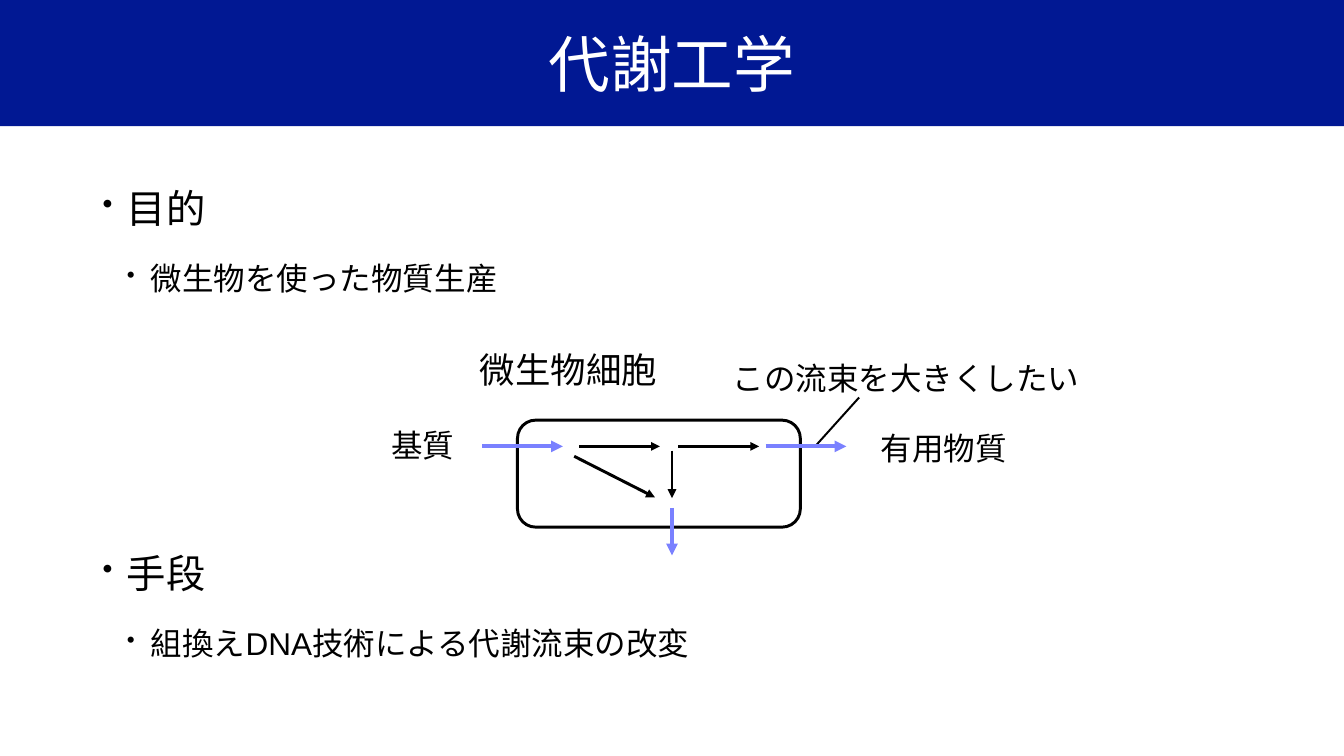
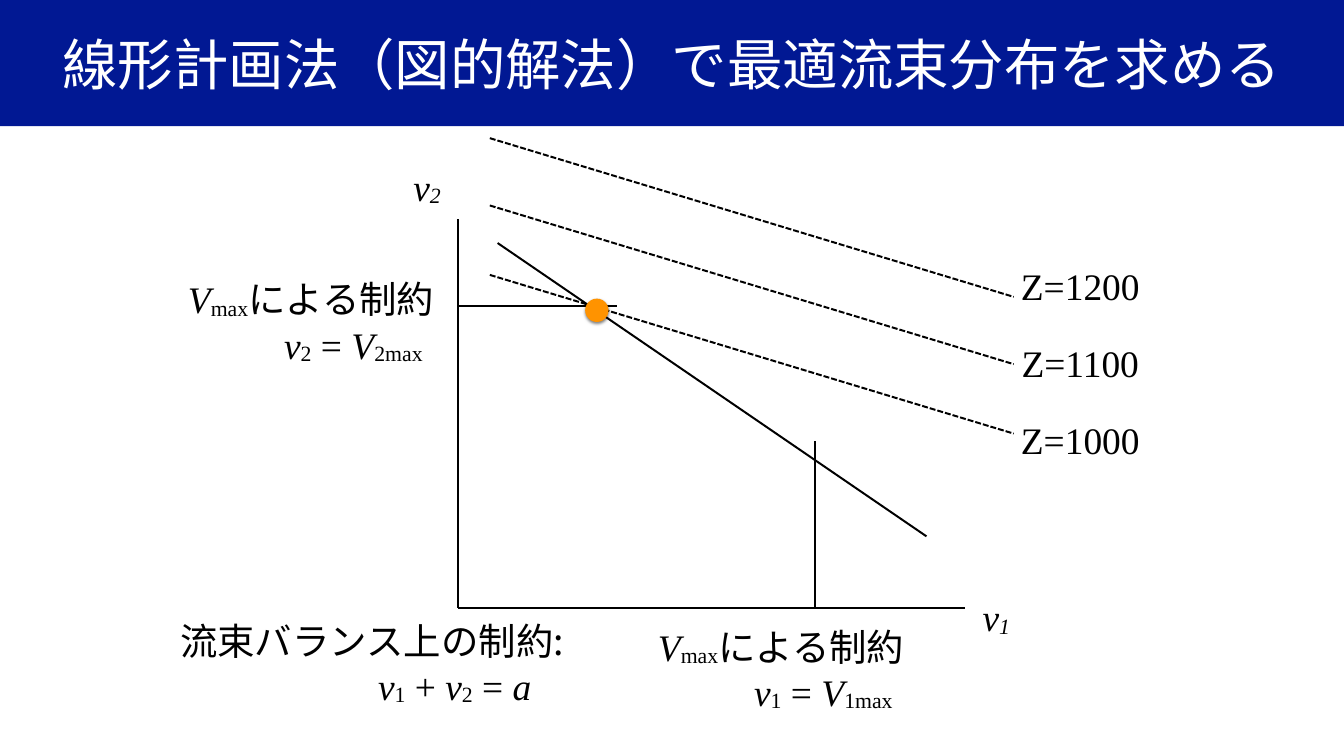
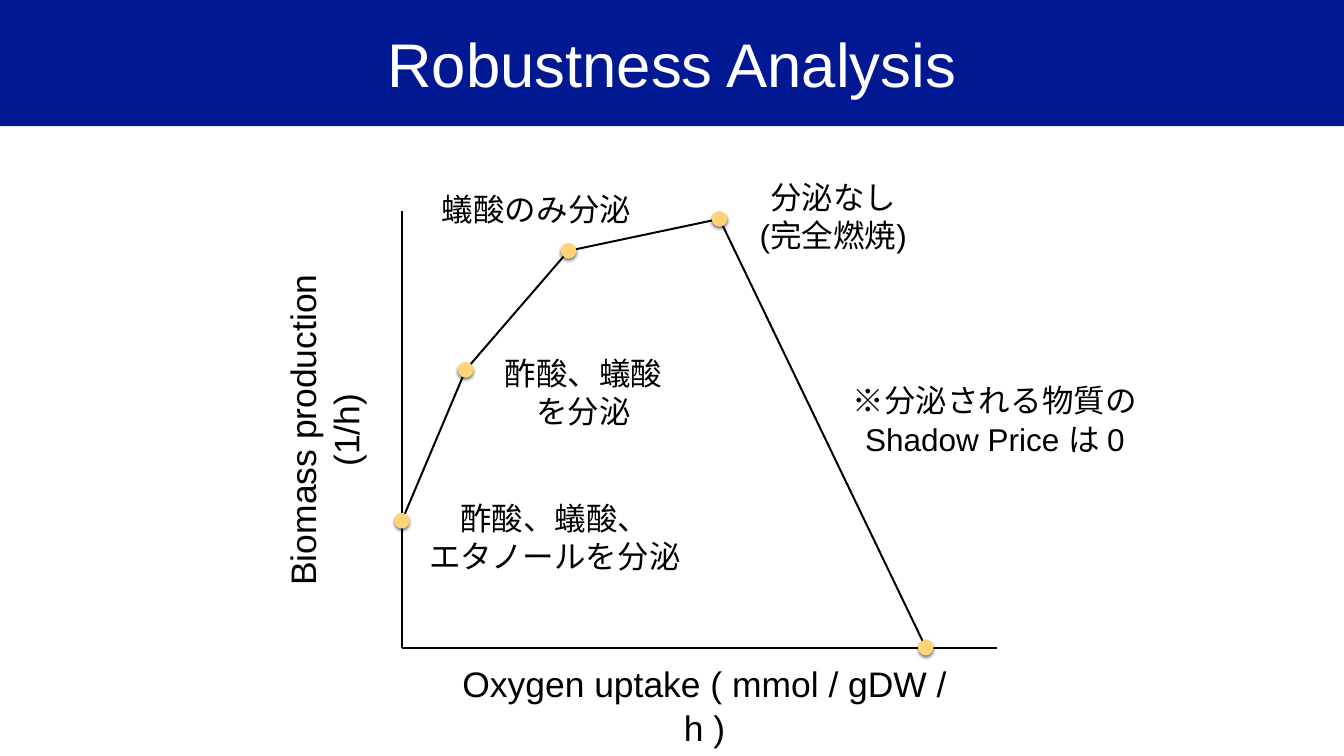
from itertools import pairwise

from lxml.etree import SubElement
from pptx import Presentation
from pptx.dml.color import RGBColor
from pptx.enum.dml import MSO_LINE
from pptx.enum.shapes import MSO_CONNECTOR, MSO_SHAPE
from pptx.enum.text import MSO_ANCHOR, MSO_AUTO_SIZE, PP_ALIGN
from pptx.oxml.ns import qn
from pptx.util import Emu, Inches, Pt

NAVY = RGBColor(0x01, 0x18, 0x93)
WHITE = RGBColor(0xFF, 0xFF, 0xFF)
BLACK = RGBColor(0x00, 0x00, 0x00)
PERIWINKLE = RGBColor(0x7A, 0x81, 0xFF)
ORANGE = RGBColor(0xFF, 0x93, 0x00)
SAND = RGBColor(0xFF, 0xD4, 0x79)

WIDTH, HEIGHT, BAND_HEIGHT = 18.96, 10.67, 1.78
SANS, SERIF, JAPANESE = "Arial", "Times New Roman", "Noto Sans CJK JP"
LINE_PITCH = 1.22

# Run styles: font, italic, subscript
PLAIN = (SANS, False, False)
KANJI = (JAPANESE, False, False)
ROMAN = (SERIF, False, False)
ITALIC = (SERIF, True, False)
SUB = (SERIF, False, True)
ITALIC_SUB = (SERIF, True, True)


class Deck:
    """Holds the shared style and the slide being filled."""

    def __init__(self):
        self.prs = Presentation()
        self.prs.slide_width = Inches(WIDTH)
        self.prs.slide_height = Inches(HEIGHT)
        self.slide = None

    def new_slide(self, heading, size=62.6):
        self.slide = self.prs.slides.add_slide(self.prs.slide_layouts[5])
        title = self.slide.shapes.title
        title.left = title.top = 0
        title.width, title.height = Inches(WIDTH), Inches(BAND_HEIGHT)
        title.fill.solid()
        title.fill.fore_color.rgb = NAVY
        self._frame(title.text_frame, 0, True)
        paragraph = title.text_frame.paragraphs[0]
        paragraph.alignment = PP_ALIGN.CENTER
        self._run(paragraph, heading, PLAIN, size, WHITE)

    def _frame(self, frame, inset, wrap):
        frame.auto_size = MSO_AUTO_SIZE.NONE
        frame.word_wrap = wrap
        frame.vertical_anchor = MSO_ANCHOR.MIDDLE
        frame.margin_left = frame.margin_right = Inches(inset)
        frame.margin_top = frame.margin_bottom = Inches(inset)

    def _run(self, paragraph, words, style, size, color=BLACK):
        name, italic, subscript = style
        run = paragraph.add_run()
        run.text = words
        font = run.font
        font.name, font.size, font.italic = name, Pt(size), italic
        font.color.rgb = color
        props = run._r.get_or_add_rPr()
        SubElement(props, qn("a:ea")).set("typeface", JAPANESE)
        if subscript:
            props.set("baseline", "-6000")

    def text(self, box, lines, size, wrap=False, fill=None, second_indent=0,
             rotation=0):
        """Centred text; each line is a string or a list of (words, style)."""
        label = self.slide.shapes.add_textbox(*map(Inches, box))
        label.rotation = rotation
        if fill is not None:
            label.fill.solid()
            label.fill.fore_color.rgb = fill
        frame = label.text_frame
        self._frame(frame, 0.06, wrap)
        for index, line in enumerate(lines):
            paragraph = frame.add_paragraph() if index else frame.paragraphs[0]
            paragraph.alignment = PP_ALIGN.CENTER
            paragraph.line_spacing = Pt(round(size * LINE_PITCH))
            if index and second_indent:
                paragraph._p.get_or_add_pPr().set(
                    "marL", str(Inches(second_indent)))
            runs = [(line, PLAIN)] if isinstance(line, str) else line
            for words, style in runs:
                self._run(paragraph, words, style, size)

    def bullets(self, box, items):
        """Bulleted list; each item is (words, level, space before)."""
        body = self.slide.shapes.add_textbox(*map(Inches, box))
        frame = body.text_frame
        frame.word_wrap = True
        for index, (words, level, space) in enumerate(items):
            paragraph = frame.add_paragraph() if index else frame.paragraphs[0]
            size = (40, 32)[level]
            paragraph.level = level
            props = paragraph._p.get_or_add_pPr()
            props.set("marL", str(Inches(0.34 * (level + 1))))
            props.set("indent", str(Inches(-0.34)))
            SubElement(props, qn("a:buSzPct")).set("val", "75000")
            SubElement(props, qn("a:buChar")).set("char", "•")
            paragraph.line_spacing = Pt(round(size * LINE_PITCH))
            if space:
                paragraph.space_before = Pt(space)
            self._run(paragraph, words, PLAIN, size)

    def line(self, start, end, color=BLACK, width=2, arrow=False, dashed=False):
        link = self.slide.shapes.add_connector(
            MSO_CONNECTOR.STRAIGHT, *map(Inches, (*start, *end)))
        link.line.color.rgb = color
        link.line.width = Pt(width)
        if dashed:
            link.line.dash_style = MSO_LINE.SQUARE_DOT
        if arrow:
            SubElement(link.line._get_or_add_ln(), qn("a:tailEnd")).set(
                "type", "triangle")
        SubElement(link._element.spPr, qn("a:effectLst"))

    def cell(self, box):
        outline = self.slide.shapes.add_shape(
            MSO_SHAPE.ROUNDED_RECTANGLE, *map(Inches, box))
        outline.adjustments[0] = 0.17
        outline.shadow.inherit = False
        outline.fill.background()
        outline.line.color.rgb = BLACK
        outline.line.width = Pt(3)

    def dot(self, center, diameter, color):
        """Filled point with a soft shadow just below it."""
        x, y = center
        point = self.slide.shapes.add_shape(
            MSO_SHAPE.OVAL, Inches(x - diameter / 2), Inches(y - diameter / 2),
            Inches(diameter), Inches(diameter))
        point.fill.solid()
        point.fill.fore_color.rgb = color
        point.line.fill.background()
        point.shadow.inherit = False
        effects = point._element.spPr.find(qn("a:effectLst"))
        shade = SubElement(effects, qn("a:outerShdw"), blurRad=str(Emu(Pt(3))),
                           dist=str(Emu(Pt(2))), dir="5400000", rotWithShape="0")
        black = SubElement(shade, qn("a:srgbClr"), val="000000")
        SubElement(black, qn("a:alpha"), val="50000")


def metabolic_engineering(deck):
    deck.new_slide("代謝工学")
    deck.line((11.49, 6.31), (12.12, 5.61))
    deck.text((6.7, 4.84, 2.64, 0.72), ["微生物細胞"], 36)
    for box, words in (
        ((10.26, 5, 5.05, 0.65), "この流束を大きくしたい"),
        ((5.46, 5.95, 1.01, 0.65), "基質"),
        ((12.36, 5.99, 1.91, 0.65), "有用物質"),
    ):
        deck.text(box, [words], 32)
    deck.bullets((1.35, 2.53, 16.19, 6.88), [
        ("目的", 0, 0),
        ("微生物を使った物質生産", 1, 28),
        ("手段", 0, 255),
        ("組換えDNA技術による代謝流束の改変", 1, 28),
    ])
    deck.cell((7.3, 5.93, 3.99, 1.51))

    flux_y, branch_x = 6.3, 9.48
    exchange = [((x, flux_y), (x + 1.14, flux_y)) for x in (6.8, 10.8)]
    exchange.append(((branch_x, 7.17), (branch_x, 7.84)))
    internal = [((x, flux_y), (x + 1.14, flux_y)) for x in (8.17, 9.57)]
    internal += [((8.1, 6.44), (9.24, 7.02)),
                 ((branch_x, 6.36), (branch_x, 7.03))]
    for start, end in exchange:
        deck.line(start, end, PERIWINKLE, 4, arrow=True)
    for start, end in internal:
        deck.line(start, end, BLACK, 3, arrow=True)


def linear_programming(deck):
    deck.new_slide("線形計画法（図的解法）で最適流束分布を求める", 56.3)
    size = 38
    origin_x, origin_y = 6.46, 8.58
    deck.line((origin_x, origin_y), (origin_x, 3.09))
    deck.line((origin_x, origin_y), (13.62, origin_y))
    for left, top, number in ((13.79, 8.33, "1"), (5.76, 2.25, "2")):
        deck.text((left, top, 0.53, 0.75),
                  [[("v", ITALIC), (number, ITALIC_SUB)]], size, fill=WHITE)

    deck.line((7.02, 3.43), (13.07, 7.57))
    deck.text((2.25, 8.66, 6, 1.39), [
        [("流束バランス上の制約:", KANJI)],
        [("v", ITALIC), ("1", SUB), (" + ", ROMAN), ("v", ITALIC), ("2", SUB),
         (" = ", ROMAN), ("a", ITALIC)],
    ], size, wrap=True, fill=WHITE, second_indent=2.33)

    deck.line((origin_x, 4.32), (8.7, 4.32))
    deck.line((11.5, origin_y), (11.5, 6.23))
    for left, top, number in ((2.34, 3.84, "2"), (8.97, 8.74, "1")):
        deck.text((left, top, 4.1, 1.39), [
            [("V", ITALIC), ("max", SUB), ("による制約", KANJI)],
            [("v", ITALIC), (number, SUB), (" = ", ROMAN), ("V", ITALIC),
             (number + "max", SUB)],
        ], size, wrap=True, second_indent=1.19)

    for step, objective_top in enumerate((1.95, 2.9, 3.88)):
        deck.line((6.91, objective_top), (14.3, objective_top + 2.24),
                  dashed=True)
        deck.text((14.34, 3.65 + 1.09 * step, 1.8, 0.75),
                  [[(f"Z={1200 - 100 * step}", ROMAN)]], size, fill=WHITE)
    deck.dot((8.42, 4.38), 0.33, ORANGE)


def robustness_analysis(deck):
    deck.new_slide("Robustness Analysis")
    origin = (5.67, 9.14)
    deck.line((5.67, 2.98), origin)
    deck.line(origin, (14.07, 9.14))
    deck.text((6.38, 9.25, 7.12, 1.4), ["Oxygen uptake ( mmol / gDW / h )"],
              36, wrap=True)
    deck.text((1.9, 5.37, 5.32, 1.4), ["Biomass production (1/h)"], 36,
              wrap=True, rotation=270)

    phases = [(5.67, 7.35), (6.57, 5.22), (8.02, 3.54), (10.15, 3.09),
              (13.06, 9.14)]
    for start, end in pairwise(phases):
        deck.line(start, end)
    for phase in phases:
        deck.dot(phase, 0.22, SAND)

    for box, lines in (
        ((5.61, 6.98, 4.44, 1.19), ["酢酸、蟻酸、", "エタノールを分泌"]),
        ((6.78, 4.93, 2.9, 1.19), ["酢酸、蟻酸", "を分泌"]),
        ((5.91, 2.62, 3.32, 0.65), ["蟻酸のみ分泌"]),
        ((10.19, 2.15, 3.13, 1.78), ["分泌なし", "(完全燃焼)"]),
        ((11.48, 5.32, 5.11, 1.19), ["※分泌される物質の", "Shadow Price は 0"]),
    ):
        deck.text(box, lines, 32)


def main():
    deck = Deck()
    metabolic_engineering(deck)
    linear_programming(deck)
    robustness_analysis(deck)
    deck.prs.save("out.pptx")


if __name__ == "__main__":
    main()
